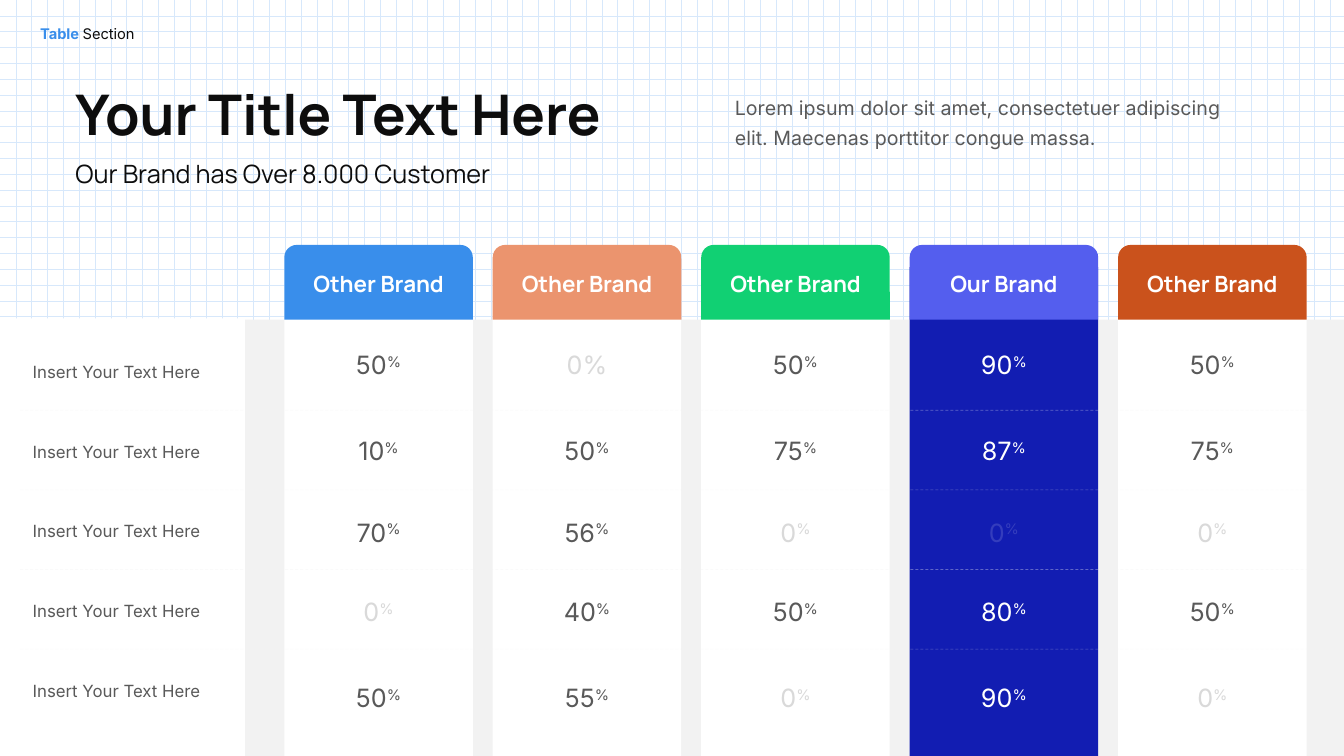
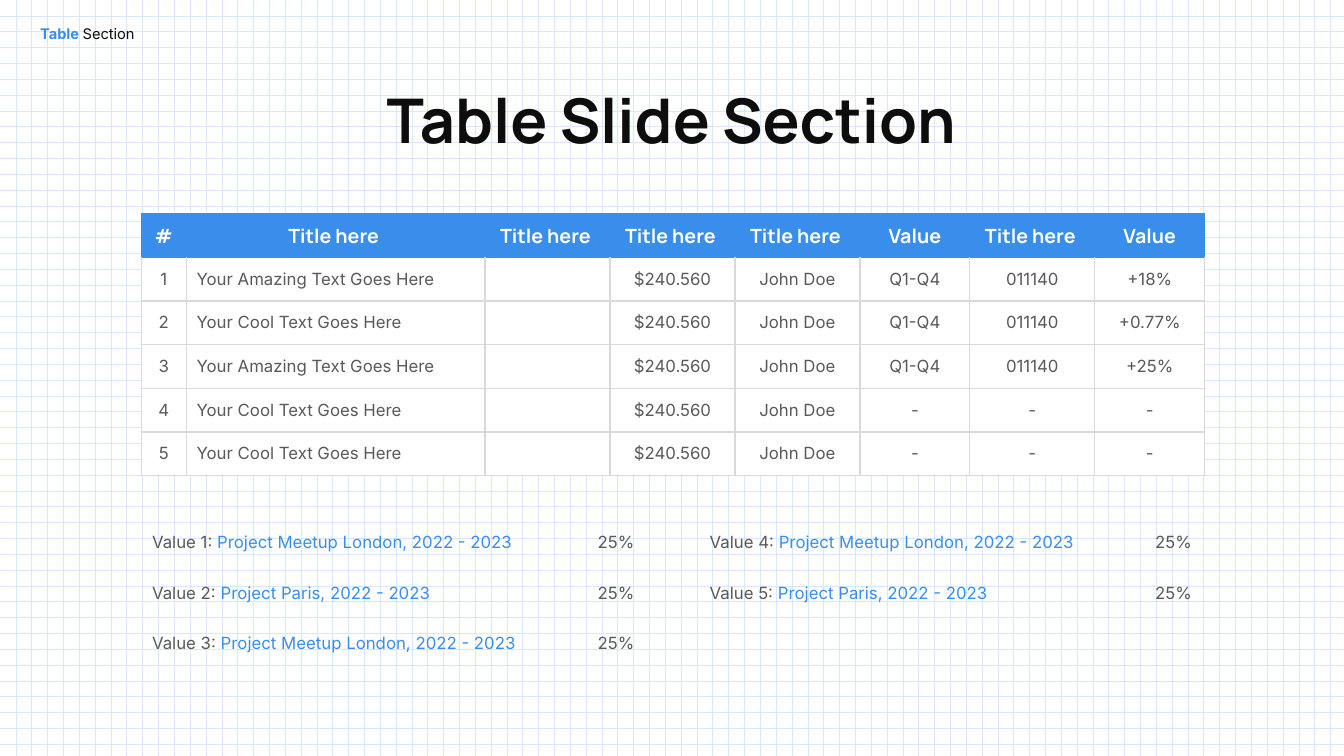
import lxml.etree
import pptx
import pptx.dml.color
import pptx.enum.dml
import pptx.enum.shapes
import pptx.enum.text
import pptx.oxml
import pptx.oxml.ns
import pptx.util

Inches = pptx.util.Inches
Pt = pptx.util.Pt
ALIGN = pptx.enum.text.PP_ALIGN
MIDDLE = pptx.enum.text.MSO_ANCHOR.MIDDLE
SHAPE = pptx.enum.shapes.MSO_SHAPE
qn = pptx.oxml.ns.qn

BLUE = "398EEB"
INK = "0D0D0D"
GREY = "595959"
FAINT = "D9D9D9"
PALE = "F2F2F2"
WHITE = "FFFFFF"
NAVY = "121DB2"
HEADING = "Manrope"
BODY = "Inter"


def color(value):
    return pptx.dml.color.RGBColor.from_string(value)


def write_text(text, holder, box=None, font=BODY, size=12, fill=GREY, bold=False,
               align=ALIGN.LEFT, anchor=None, spacing=None):
    if box:
        holder = holder.shapes.add_textbox(*[Inches(length) for length in box])
    frame = holder.text_frame
    frame.word_wrap = True
    if anchor is not None:
        frame.vertical_anchor = anchor
    paragraph = frame.paragraphs[0]
    paragraph.alignment = align
    if spacing:
        paragraph.line_spacing = spacing
    runs = [(text, {})] if isinstance(text, str) else text
    for words, changes in runs:
        run = paragraph.add_run()
        run.text = words
        run.font.name = font
        run.font.size = Pt(size)
        run.font.bold = changes.get("bold", bold)
        run.font.color.rgb = color(changes.get("fill", fill))
        if "baseline" in changes:
            run.font._element.set("baseline", str(changes["baseline"]))


presentation = pptx.Presentation()
presentation.slide_width = Inches(13.33)
presentation.slide_height = Inches(7.5)
background = presentation.slide_master.background.fill
background.patterned()
background.pattern = pptx.enum.dml.MSO_PATTERN.DOTTED_GRID
background.fore_color.rgb = color("D7E8FB")
background.back_color.rgb = color(WHITE)

slides = []
for number in range(2):
    slide = presentation.slides.add_slide(presentation.slide_layouts[6])
    section = [("Table ", {"fill": BLUE, "bold": True}), ("Section", {})]
    write_text(section, slide, (0.3, 0.2, 1.4, 0.28), size=10.5, fill=INK)
    slides.append(slide)
comparison, report = slides

column_width = 1.87
column_pitch = (11.09 - 2.82) / 4
row_pitch = 0.79
value_tops = [3.42, 4.27, 5.08, 5.87, 6.72]
brands = [
    ("Other Brand", BLUE, [50, 10, 70, 0, 50]),
    ("Other Brand", "EB946E", [0, 50, 56, 40, 55]),
    ("Other Brand", "11D073", [50, 75, 0, 50, 0]),
    ("Our Brand", "545EEE", [90, 87, 0, 80, 90]),
    ("Other Brand", "CA521C", [50, 75, 0, 50, 0]),
]

panels = [
    (SHAPE.RECTANGLE, 0, 3.17, 13.33, 4.33, PALE, None),
    (SHAPE.RECTANGLE, 0, 3.16, 2.43, 4.34, WHITE, None),
]
for index, (brand, accent, values) in enumerate(brands):
    left = 2.82 + index * column_pitch
    body_fill = NAVY if brand == "Our Brand" else WHITE
    panels.append((SHAPE.RECTANGLE, left, 2.65, column_width, 4.85, body_fill, None))
    panels.append((SHAPE.ROUND_2_SAME_RECTANGLE, left, 2.43, column_width, 0.74, accent, brand))

for kind, left, top, width, height, fill, label in panels:
    shape = comparison.shapes.add_shape(kind, Inches(left), Inches(top), Inches(width), Inches(height))
    shape.shadow.inherit = False
    shape.fill.solid()
    shape.fill.fore_color.rgb = color(fill)
    shape.line.fill.background()
    if label:
        write_text(label, shape, font=HEADING, size=16, fill=WHITE, bold=True,
                   align=ALIGN.CENTER, anchor=MIDDLE)

for index, (brand, accent, values) in enumerate(brands):
    ours = brand == "Our Brand"
    for row, value in enumerate(values):
        if value:
            fill = WHITE if ours else GREY
        else:
            fill = "343DBD" if ours else FAINT
        percent = {} if (index, row) == (1, 0) else {"baseline": 30000}
        write_text([(str(value), {}), ("%", percent)], comparison,
                   (2.82 + index * column_pitch, value_tops[row], column_width, 0.4),
                   size=18, fill=fill, align=ALIGN.CENTER, anchor=MIDDLE)

for row in range(5):
    write_text("Insert Your Text Here ", comparison, (0.2, 3.54 + row * row_pitch, 1.96, 0.3),
               align=ALIGN.CENTER)

for row in range(4):
    top = Inches(4.07 + row * row_pitch)
    divider = comparison.shapes.add_connector(
        pptx.enum.shapes.MSO_CONNECTOR.STRAIGHT, Inches(0.2), top, Inches(13.14), top)
    divider.line.color.rgb = color(PALE)
    divider.line.width = Pt(0.5)
    divider.line.dash_style = pptx.enum.dml.MSO_LINE.DASH
    properties = divider._element.spPr
    line_color = properties.find(".//" + qn("a:srgbClr"))
    lxml.etree.SubElement(line_color, qn("a:alpha"), val="34000")
    lxml.etree.SubElement(properties, qn("a:effectLst"))

write_text("Your Title Text Here", comparison, (0.65, 0.74, 5.74, 0.77),
           font=HEADING, size=40, fill=INK, bold=True)
write_text("Our Brand has Over 8.000 Customer", comparison, (0.65, 1.52, 5.39, 0.4),
           font=HEADING, size=18, fill=INK)
write_text("Lorem ipsum dolor sit amet, consectetuer adipiscing elit. Maecenas porttitor congue massa.",
           comparison, (7.19, 0.83, 5.11, 0.68), size=14, spacing=1.3)

write_text("Table Slide Section", report, (1.15, 0.76, 11.02, 0.84),
           font=HEADING, size=44, fill=INK, bold=True, align=ALIGN.CENTER)

amazing = "Your Amazing Text Goes Here"
cool = "Your Cool Text Goes Here"
title = "Title here "
shared = ["", "$240.560", "John Doe"]
quarter = ["Q1-Q4", "011140"]
rows = [
    ["#", title, title, title, title, "Value", title, "Value"],
    ["1", amazing, *shared, *quarter, "+18%"],
    ["2", cool, *shared, *quarter, "+0.77%"],
    ["3", amazing, *shared, *quarter, "+25%"],
    ["4", cool, *shared, "-", "-", "-"],
    ["5", cool, *shared, "-", "-", "-"],
]
column_widths = [0.45, 2.96, 1.24, 1.24, 1.24, 1.09, 1.24, 1.09]
table = report.shapes.add_table(len(rows), len(column_widths), Inches(1.4), Inches(2.12),
                                Inches(10.53), Inches(2.6)).table
table.horz_banding = False
for column, width in zip(table.columns, column_widths):
    column.width = Inches(width)

for row, texts in enumerate(rows):
    header = row == 0
    for column, text in enumerate(texts):
        cell = table.cell(row, column)
        cell.vertical_anchor = MIDDLE
        cell.fill.solid()
        cell.fill.fore_color.rgb = color(BLUE if header else WHITE)
        if header:
            write_text(text, cell, font=HEADING, size=14, fill=WHITE, bold=True, align=ALIGN.CENTER)
        elif text:
            write_text(text, cell, align=ALIGN.LEFT if column == 1 else ALIGN.CENTER)
        for position, side in enumerate(["lnL", "lnR", "lnT", "lnB"]):
            blue_edge = header or (row == 1 and side == "lnT")
            border = lxml.etree.Element(qn("a:" + side), w=str(Pt(1)))
            border_fill = lxml.etree.SubElement(border, qn("a:solidFill"))
            lxml.etree.SubElement(border_fill, qn("a:srgbClr"), val=BLUE if blue_edge else FAINT)
            cell._tc.get_or_add_tcPr().insert(position, border)

london = "Project Meetup London, 2022 - 2023"
paris = "Project Paris, 2022 - 2023"
for index, project in enumerate([london, paris, london, london, paris]):
    left = 1.41 + index // 3 * 5.53
    top = 5.23 + index % 3 * 0.5
    write_text([(f"Value {index + 1}: ", {}), (project, {"fill": BLUE})], report,
               (left, top, 3.98, 0.3))
    write_text("25%", report, (left + 4.21, top, 0.77, 0.3), align=ALIGN.RIGHT)

presentation.save("out.pptx")
